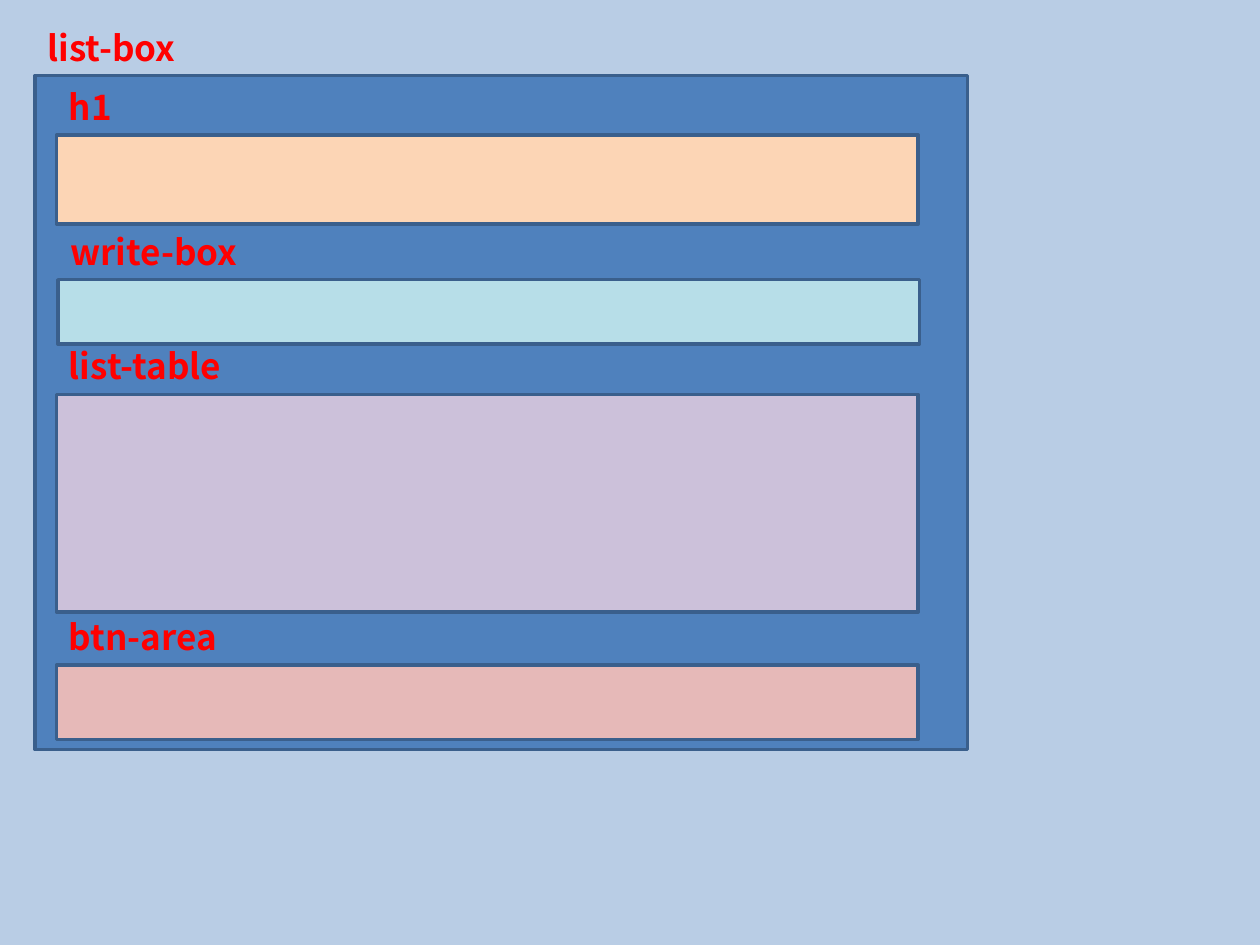
from pptx import Presentation
from pptx.dml.color import RGBColor
from pptx.enum.shapes import MSO_SHAPE
from pptx.enum.text import MSO_AUTO_SIZE
from pptx.util import Cm, Pt

COLORS = {
    "background": "B9CDE5",
    "list-box": "4F81BD",
    "h1": "FCD5B5",
    "write-box": "B7DEE8",
    "list-table": "CCC1DA",
    "btn-area": "E6B9B8",
    "outline": "3A5F8C",
    "label": "FF0000",
}
LABEL_FORMAT = {"name": "Noto Sans CJK KR", "size": Pt(20), "bold": True}
LABEL_WIDTH = 5.18
LABEL_HEIGHT = 1.12
SECTION_WIDTH = 17.37
REGIONS = [
    ("list-box", 0.71, 1.52, 18.8, 13.59),
    ("h1", 1.14, 2.72, SECTION_WIDTH, 1.8),
    ("write-box", 1.17, 5.64, SECTION_WIDTH, 1.3),
    ("list-table", 1.14, 7.95, SECTION_WIDTH, 4.39),
    ("btn-area", 1.14, 13.41, SECTION_WIDTH, 1.5),
]


def color(name):
    return RGBColor.from_string(COLORS[name])


def set_background(slide):
    fill = slide.background.fill
    fill.solid()
    fill.fore_color.rgb = color("background")


def add_box(slide, name, left, top, width, height):
    shape = slide.shapes.add_shape(
        MSO_SHAPE.RECTANGLE, Cm(left), Cm(top), Cm(width), Cm(height)
    )
    shape.shadow.inherit = False
    shape.fill.solid()
    shape.fill.fore_color.rgb = color(name)
    shape.line.color.rgb = color("outline")
    shape.line.width = Pt(2)


def add_label(slide, text, left, box_top):
    shape = slide.shapes.add_textbox(
        Cm(left), Cm(box_top - LABEL_HEIGHT), Cm(LABEL_WIDTH), Cm(LABEL_HEIGHT)
    )
    frame = shape.text_frame
    frame.word_wrap = True
    frame.auto_size = MSO_AUTO_SIZE.SHAPE_TO_FIT_TEXT
    run = frame.paragraphs[0].add_run()
    run.text = text
    for attribute, value in LABEL_FORMAT.items():
        setattr(run.font, attribute, value)
    run.font.color.rgb = color("label")


def main():
    presentation = Presentation()
    presentation.slide_width = Cm(25.4)
    presentation.slide_height = Cm(19.05)
    slide = presentation.slides.add_slide(presentation.slide_layouts[6])
    set_background(slide)
    for name, left, top, width, height in REGIONS:
        add_box(slide, name, left, top, width, height)
        add_label(slide, name, left, top)
    presentation.save("out.pptx")


if __name__ == "__main__":
    main()
